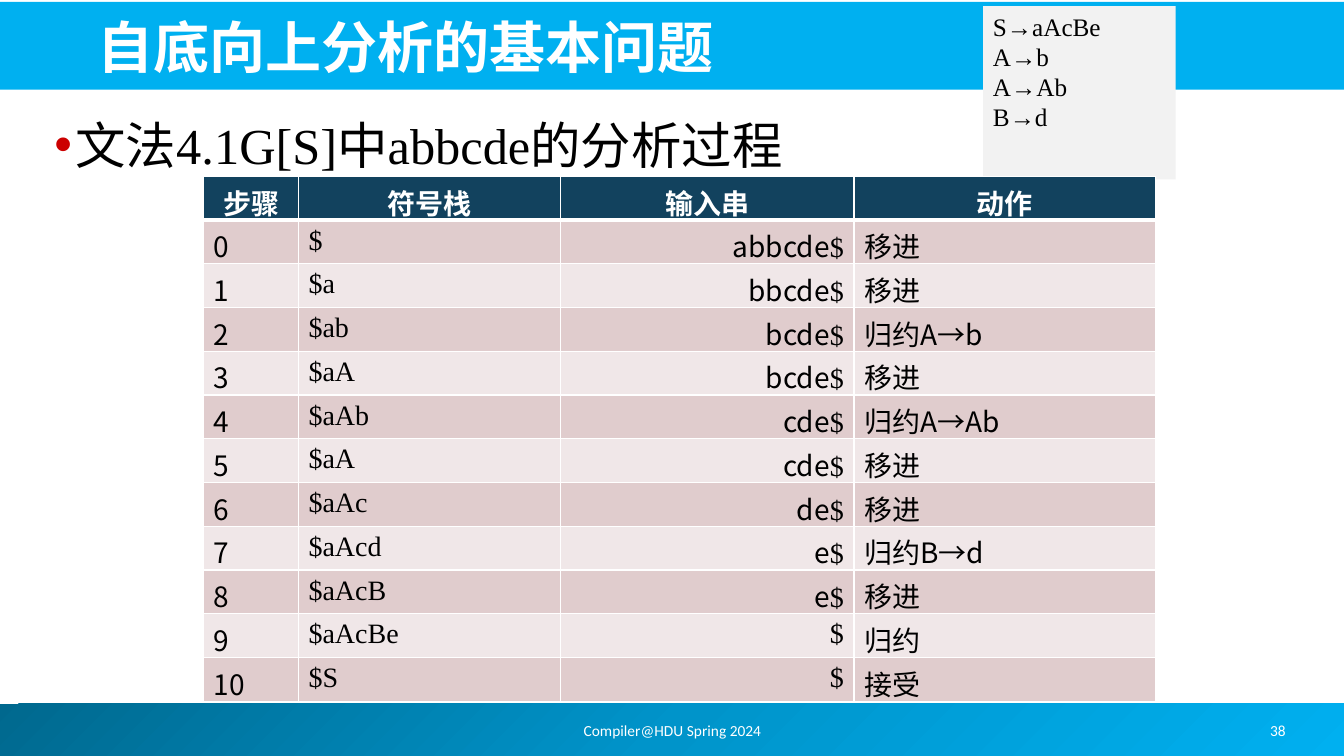
from lxml import etree
from pptx import Presentation
from pptx import util as u
from pptx.dml.color import RGBColor
from pptx.enum import lang, shapes, text
from pptx.oxml.ns import qn

HEX = {"white": "FFFFFF", "black": "000000", "sky": "00B0F0", "mid": "0094CA",
       "deep": "00688E", "red": "CC0000", "gray": "F2F2F2", "navy": "12425E",
       "rose": "E0CCCD", "pale": "F0E7E8"}
SANS, SERIF, PLAIN = "Noto Sans CJK JP", "Times New Roman", "Calibri"
LEFT, MID, RIGHT = text.PP_ALIGN.LEFT, text.PP_ALIGN.CENTER, text.PP_ALIGN.RIGHT
TOP, CENTER, BOTTOM = (text.MSO_ANCHOR.TOP, text.MSO_ANCHOR.MIDDLE,
                       text.MSO_ANCHOR.BOTTOM)

HEAD = ["步骤", "符号栈", "输入串", "动作"]
STEPS = [  # stack, rest of the input, action
    ("$", "abbcde", "移进"),
    ("$a", "bbcde", "移进"),
    ("$ab", "bcde", "归约A→b"),
    ("$aA", "bcde", "移进"),
    ("$aAb", "cde", "归约A→Ab"),
    ("$aA", "cde", "移进"),
    ("$aAc", "de", "移进"),
    ("$aAcd", "e", "归约B→d"),
    ("$aAcB", "e", "移进"),
    ("$aAcBe", "", "归约"),
    ("$S", "", "接受"),
]
WIDTHS = [0.94, 2.6, 2.91, 2.99]


def color(name):
    return RGBColor.from_string(HEX[name])


def add_run(para, words, size, face, hue="black", bold=False):
    run = para.add_run()
    run.text = words
    font = run.font
    font.size, font.name, font.bold = u.Pt(size), face, bold
    font.color.rgb = color(hue)
    font.language_id = lang.MSO_LANGUAGE_ID.SIMPLIFIED_CHINESE
    # East Asian glyphs
    asian = etree.SubElement(run._r.get_or_add_rPr(), qn("a:ea"))
    asian.set("typeface", SANS if face == SERIF else face)


def add_box(slide, at, anchor=TOP, align=LEFT):
    box = slide.shapes.add_textbox(*map(u.Inches, at))
    frame = box.text_frame
    frame.word_wrap = True
    frame.vertical_anchor = anchor
    para = frame.paragraphs[0]
    para.alignment = align
    return para


def add_rect(slide, at, hue):
    rect = slide.shapes.add_shape(shapes.MSO_SHAPE.RECTANGLE, *map(u.Inches, at))
    rect.shadow.inherit = False
    rect.fill.solid()
    rect.fill.fore_color.rgb = color(hue)
    rect.line.fill.background()
    return rect


def add_fade(rect, *hues):
    rect.fill.gradient()
    grad = rect.fill._fill._gradFill
    stops = grad.find(qn("a:gsLst"))
    for stop in list(stops):
        stops.remove(stop)
    for i, hue in enumerate(hues):
        stop = etree.SubElement(stops, qn("a:gs"), pos=str(i * 50000))
        etree.SubElement(stop, qn("a:srgbClr"), val=HEX[hue])
    grad.find(qn("a:lin")).set("ang", str(45 * 60000))


def add_bullet(para, hue, indent):
    props = para._p.get_or_add_pPr()
    props.set("marL", str(u.Inches(indent)))
    props.set("indent", str(-u.Inches(indent)))
    tint = etree.SubElement(props, qn("a:buClr"))
    etree.SubElement(tint, qn("a:srgbClr"), val=HEX[hue])
    etree.SubElement(props, qn("a:buFont"), typeface="Arial")
    etree.SubElement(props, qn("a:buChar"), char="•")


def add_rules(cell, top, base):
    props = cell._tc.get_or_add_tcPr()
    for side, width in (("L", 1), ("R", 1), ("T", top), ("B", base)):
        rule = etree.SubElement(props, qn("a:ln" + side), w=str(u.Pt(width)))
        fill = etree.SubElement(rule, qn("a:solidFill"))
        etree.SubElement(fill, qn("a:srgbClr"), val=HEX["white"])


def fill_cell(cell, runs, align, back, hue="black", bold=False, top=1, base=1):
    add_rules(cell, top, base)
    cell.fill.solid()
    cell.fill.fore_color.rgb = color(back)
    para = cell.text_frame.paragraphs[0]
    para.alignment = align
    for words, face in runs:
        add_run(para, words, 20, face, hue, bold)


def add_steps(slide):
    count = len(STEPS) + 1
    grid = slide.shapes.add_table(count, len(HEAD), u.Inches(2.02), u.Inches(1.75),
                                  u.Inches(sum(WIDTHS)), u.Inches(5.2)).table
    for col, width in zip(grid.columns, WIDTHS):
        col.width = u.Inches(width)
    for col, name in enumerate(HEAD):
        fill_cell(grid.cell(0, col), [(name, SANS)], MID, "navy", "white", True,
                  base=3)
    for step, (stack, rest, action) in enumerate(STEPS):
        queue = [(rest, SANS)] if rest else []
        row = [([(str(step), SANS)], LEFT),
               ([(stack, SERIF)], LEFT),
               (queue + [("$", SERIF)], RIGHT),
               ([(action, SANS)], LEFT)]
        back = "pale" if step % 2 else "rose"
        for col, (runs, align) in enumerate(row):
            fill_cell(grid.cell(step + 1, col), runs, align, back,
                      top=1 if step else 3)


def add_rhymes(slide):
    frame = add_rect(slide, (9.75, 0.06, 1.91, 1.72), "gray").text_frame
    frame.word_wrap = True
    frame.vertical_anchor = TOP
    for i, rule in enumerate(["S→aAcBe", "A→b", "A→Ab", "B→d"]):
        para = frame.add_paragraph() if i else frame.paragraphs[0]
        para.alignment = LEFT
        add_run(para, rule, 18, SERIF)


def main():
    deck = Presentation()
    deck.slide_width, deck.slide_height = u.Inches(13.33), u.Inches(7.5)
    slide = deck.slides.add_slide(deck.slide_layouts[6])

    # Bands
    foot = add_rect(slide, (-0.05, 6.98, 13.39, 0.52), "sky")
    add_fade(foot, "deep", "mid", "sky")
    add_rect(slide, (-0.02, 0.02, 13.36, 0.87), "sky")

    # Title and topic
    title = add_box(slide, (0.87, 0.05, 12.06, 0.79), BOTTOM)
    add_run(title, "自底向上分析的基本问题", 40, SANS, "white", True)
    topic = add_box(slide, (0.44, 1.08, 12.44, 0.7))
    add_bullet(topic, "red", 0.21)
    add_run(topic, "文法4.1G[S]中abbcde的分析过程", 36, SERIF)

    # Grammar and parsing steps
    add_rhymes(slide)
    add_steps(slide)

    # Footer
    for words, left, width in (("Compiler@HDU Spring 2024", 4.56, 4.22),
                               ("38", 12.19, 0.97)):
        para = add_box(slide, (left, 7, width, 0.5), CENTER, MID)
        add_run(para, words, 11, PLAIN, "white")

    deck.save("out.pptx")


if __name__ == "__main__":
    main()
